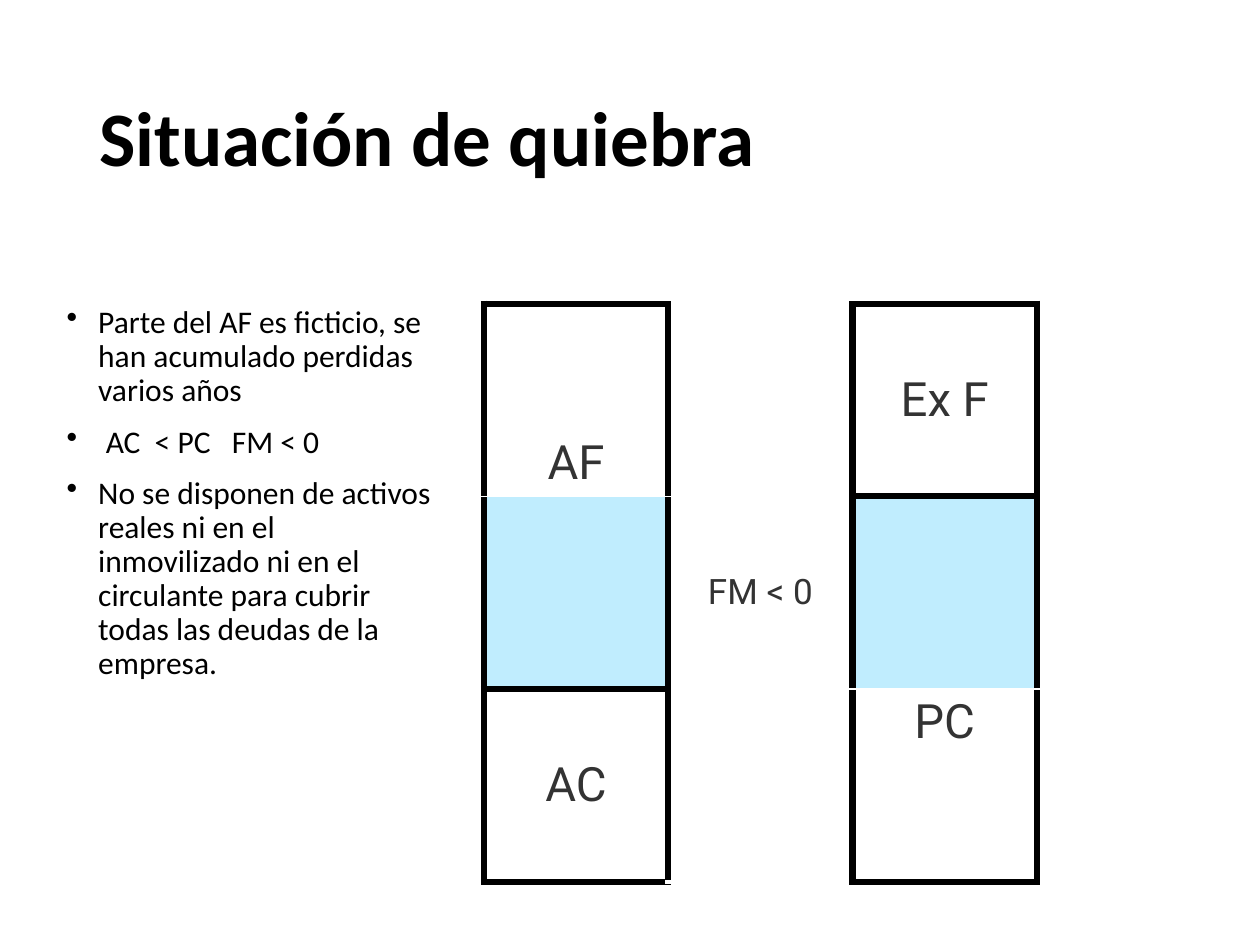
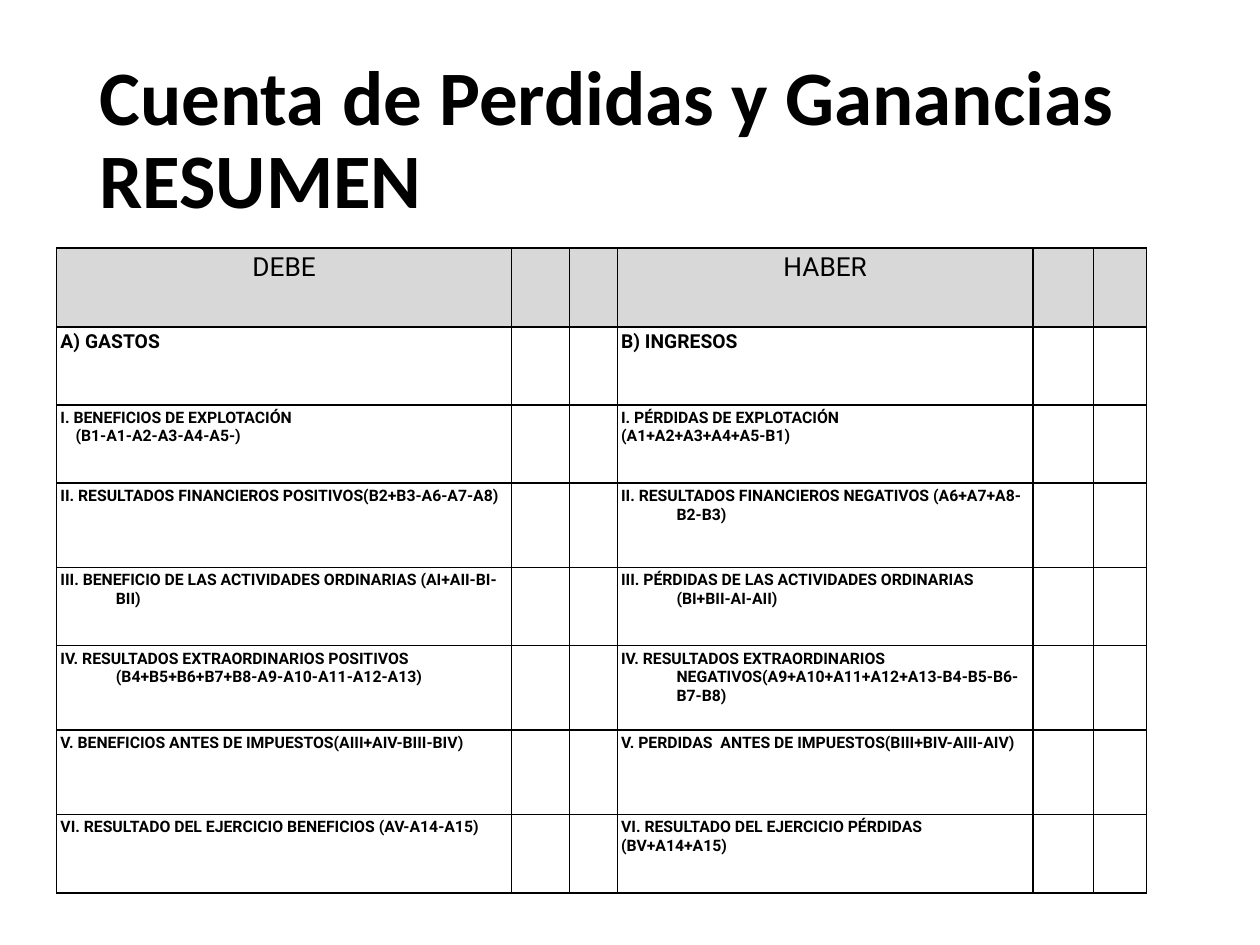
"""Build two accounting slides: the bankruptcy balance and the profit and loss summary."""
from lxml import etree
from pptx import Presentation
from pptx.dml.color import RGBColor
from pptx.enum.text import MSO_ANCHOR, PP_ALIGN
from pptx.oxml.ns import qn
from pptx.util import Inches, Pt

TOP, MIDDLE, BOTTOM = MSO_ANCHOR.TOP, MSO_ANCHOR.MIDDLE, MSO_ANCHOR.BOTTOM
LEFT, CENTER = PP_ALIGN.LEFT, PP_ALIGN.CENTER
BLACK = RGBColor(0x00, 0x00, 0x00)
WHITE = RGBColor(0xFF, 0xFF, 0xFF)
CHARCOAL = RGBColor(0x33, 0x33, 0x33)
SKY = RGBColor(0xC0, 0xED, 0xFE)
SILVER = RGBColor(0xD8, 0xD8, 0xD8)
SIDES = ("L", "R", "T", "B")

deck = Presentation()
deck.slide_width, deck.slide_height = Inches(10), Inches(7.5)
COL, ROW = deck.slide_width / 100, deck.slide_height / 75

TITLE = {"box": {"word_wrap": True, "vertical_anchor": MIDDLE},
         "paragraph": {"line_spacing": 0.9},
         "font": {"name": "Calibri", "size": Pt(44), "bold": True}}
POINTS = {"box": {"word_wrap": True, "margin_left": Inches(0.07), "margin_right": Inches(0.11),
                  "margin_top": Inches(0.04), "margin_bottom": Inches(0.04)},
          "paragraph": {"line_spacing": 0.9, "space_before": Pt(10)},
          "font": {"name": "Calibri", "size": Pt(18)}, "bullet": "•"}


def write(holder, lines, style):
    frame = getattr(holder, "text_frame", holder)
    for key, value in style["box"].items():
        setattr(holder, key, value)
    for number, (text, left, first) in enumerate(lines):
        paragraph = frame.add_paragraph() if number else frame.paragraphs[0]
        run = paragraph.add_run()
        run.text = text
        for target, values in ((paragraph, style["paragraph"]), (run.font, style["font"])):
            for key, value in values.items():
                setattr(target, key, value)
        run.font.color.rgb = style.get("color", BLACK)
        properties = paragraph._p.get_or_add_pPr()
        properties.set("marL", str(Inches(left)))
        properties.set("indent", str(Inches(first)))
        if "bullet" in style:
            etree.SubElement(properties, qn("a:buChar"), char=style["bullet"])


def dress(cell, borders, fill):
    properties = cell._tc.get_or_add_tcPr()
    for side in SIDES:
        color, width = borders[side]
        line = etree.SubElement(properties, qn("a:ln" + side), w=str(Pt(width)))
        solid = etree.SubElement(line, qn("a:solidFill"))
        etree.SubElement(solid, qn("a:srgbClr"), val=str(color))
    if fill is None:
        cell.fill.background()
    else:
        cell.fill.solid()
        cell.fill.fore_color.rgb = fill


slides = []
for heading in ("Situación de quiebra", "Cuenta de Perdidas y Ganancias RESUMEN"):
    slide = deck.slides.add_slide(deck.slide_layouts[6])
    title = slide.shapes.add_textbox(int(6.9 * COL), int(4 * ROW), int(86.2 * COL), int(14.5 * ROW))
    write(title.text_frame, [(heading, 0, 0)], TITLE)
    slides.append(slide)
bankruptcy, summary = slides

points = bankruptcy.shapes.add_textbox(int(4.6 * COL), int(23.9 * ROW), int(31.7 * COL), int(40 * ROW))
write(points.text_frame, [
    ("Parte del AF es ficticio, se han acumulado perdidas varios años", 0.25, -0.25),
    ("AC  < PC   FM < 0", 0.31, -0.31),
    ("No se disponen de activos reales ni en el inmovilizado ni en el circulante "
     "para cubrir todas las deudas de la empresa.", 0.25, -0.25),
], POINTS)

balance = bankruptcy.shapes.add_table(
    3, 3, int(38.4 * COL), int(24.1 * ROW), int(43.9 * COL), int(45.9 * ROW)).table
balance.first_row = balance.horz_banding = False
gap_borders = {"T": (WHITE, 1), "B": (WHITE, 2.25)}
special_borders = {
    (0, 0): {"B": (WHITE, 0.25)}, (1, 0): {"T": (WHITE, 0.25)},
    (1, 2): {"B": (WHITE, 1)}, (2, 2): {"T": (WHITE, 1)},
    (0, 1): gap_borders, (1, 1): gap_borders, (2, 1): gap_borders,
}
for row in range(3):
    for column in range(3):
        borders = dict.fromkeys(SIDES, (BLACK, 4)) | special_borders.get((row, column), {})
        dress(balance.cell(row, column), borders, SKY if row == 1 and column != 1 else None)
balance.cell(0, 1).merge(balance.cell(2, 1))

for row, column, mass, size, anchor in (
        (0, 0, "AF", 27, BOTTOM), (0, 1, "FM < 0", 20, MIDDLE), (0, 2, "Ex F", 27, MIDDLE),
        (2, 0, "AC", 27, MIDDLE), (2, 2, "PC", 27, TOP)):
    write(balance.cell(row, column), [(mass, 0, 0)], {
        "box": {"vertical_anchor": anchor} | dict.fromkeys(
            ("margin_left", "margin_right", "margin_top", "margin_bottom"), Inches(0.04)),
        "paragraph": {"alignment": CENTER},
        "font": {"name": "Roboto", "size": Pt(size)}, "color": CHARCOAL})

HANG = (0.44, -0.44)
FLUSH = (0, 0)
accounts = [
    ([("DEBE", *FLUSH)], [("HABER", *FLUSH)]),
    ([("A) GASTOS", 0.38, -0.38)], [("B) INGRESOS", *FLUSH)]),
    ([("I. BENEFICIOS DE EXPLOTACIÓN", *HANG), ("(B1-A1-A2-A3-A4-A5-)", 0.12, 0)],
     [("I. PÉRDIDAS DE EXPLOTACIÓN", *HANG), ("(A1+A2+A3+A4+A5-B1)", *HANG)]),
    ([("II. RESULTADOS FINANCIEROS POSITIVOS(B2+B3-A6-A7-A8)", *HANG)],
     [("II. RESULTADOS FINANCIEROS NEGATIVOS (A6+A7+A8-B2-B3)", *HANG)]),
    ([("III. BENEFICIO DE LAS ACTIVIDADES ORDINARIAS (AI+AII-BI-BII)", *HANG)],
     [("III. PÉRDIDAS DE LAS ACTIVIDADES ORDINARIAS (BI+BII-AI-AII)", *HANG)]),
    ([("IV. RESULTADOS EXTRAORDINARIOS POSITIVOS (B4+B5+B6+B7+B8-A9-A10-A11-A12-A13)", *HANG)],
     [("IV. RESULTADOS EXTRAORDINARIOS NEGATIVOS(A9+A10+A11+A12+A13-B4-B5-B6-B7-B8)", *HANG)]),
    ([("V. BENEFICIOS ANTES DE IMPUESTOS(AIII+AIV-BIII-BIV)", *HANG)],
     [("V. PERDIDAS  ANTES DE IMPUESTOS(BIII+BIV-AIII-AIV)", *HANG)]),
    ([("VI. RESULTADO DEL EJERCICIO BENEFICIOS (AV-A14-A15)", *HANG)],
     [("VI. RESULTADO DEL EJERCICIO PÉRDIDAS (BV+A14+A15)", *FLUSH)]),
]
widths = (36.1, 4.6, 3.8, 33, 4.8, 4.2)
heights = (6.25, 6.2, 6.2, 6.7, 6.2, 6.7, 6.7, 6.25)
sizes = (15, 11) + (9,) * 6

ledger = summary.shapes.add_table(
    len(heights), len(widths), int(4.5 * COL), int(19.7 * ROW),
    int(sum(widths) * COL), int(sum(heights) * ROW)).table
ledger.first_row = ledger.horz_banding = False
for column, width in enumerate(widths):
    ledger.columns[column].width = int(width * COL)
for row, (height, size, entries) in enumerate(zip(heights, sizes, accounts)):
    ledger.rows[row].height = int(height * ROW)
    for column in range(len(widths)):
        dress(ledger.cell(row, column), dict.fromkeys(SIDES, (BLACK, 1)), None if row else SILVER)
    for column, lines in zip((0, 3), entries):
        write(ledger.cell(row, column), lines, {
            "box": dict.fromkeys(
                ("margin_left", "margin_right", "margin_top", "margin_bottom"), Inches(0.03)),
            "paragraph": {"alignment": LEFT if row else CENTER},
            "font": {"name": "Roboto", "size": Pt(size), "bold": row > 0}})

deck.save("out.pptx")
